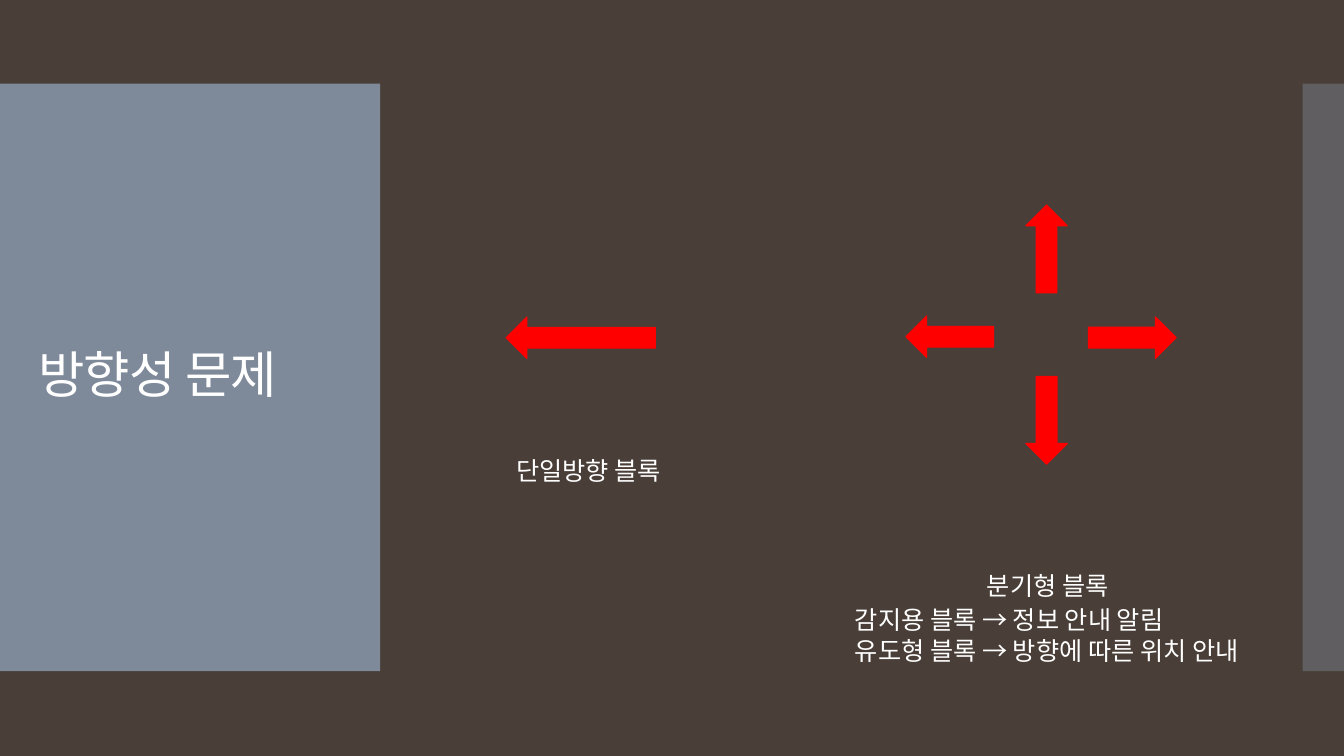
from lxml import etree
from pptx import Presentation
from pptx import util as u
from pptx.dml.color import RGBColor
from pptx.enum import shapes, text
from pptx.oxml.ns import qn

FONT = "Calibri"
BACKGROUND, PANEL, ARROW, WHITE = "4A3F38", "818E9F", "FF0000", "FFFFFF"
PANEL_TOP, PANEL_HEIGHT = 0.83, 5.83
ARROW_HEIGHT = 0.41


def paint(fill, color, opacity=100):
    fill.solid()
    fill.fore_color.rgb = RGBColor.from_string(color)
    if opacity < 100:
        tone = fill._xPr.find(qn("a:solidFill"))[0]
        etree.SubElement(tone, qn("a:alpha"), val=str(opacity * 1000))


def format_text(para, size):
    para.alignment = text.PP_ALIGN.LEFT
    for span in para.runs:
        span.font.name = FONT
        span.font.size = u.Pt(size)
        paint(span.font.fill, WHITE)


def add_panel(page, left, width, opacity):
    panel = page.shapes.add_shape(
        shapes.MSO_SHAPE.RECTANGLE, u.Inches(left), u.Inches(PANEL_TOP),
        u.Inches(width), u.Inches(PANEL_HEIGHT))
    panel.shadow.inherit = False
    paint(panel.fill, PANEL, opacity)
    panel.line.fill.background()


def place_title(page, wording, left, top, width, height):
    title = page.shapes.title
    title.left, title.top = u.Inches(left), u.Inches(top)
    title.width, title.height = u.Inches(width), u.Inches(height)
    frame = title.text_frame
    frame.text = wording
    frame.word_wrap = True
    frame.auto_size = text.MSO_AUTO_SIZE.NONE
    frame.vertical_anchor = text.MSO_ANCHOR.MIDDLE
    para = frame.paragraphs[0]
    para.line_spacing = 0.9
    format_text(para, 36)
    para.runs[0].font._element.set("spc", "-60")
    # Bring the title in front of the panels.
    title.element.getparent().append(title.element)


def add_label(page, wording, left, top, width, height):
    box = page.shapes.add_textbox(
        u.Inches(left), u.Inches(top), u.Inches(width), u.Inches(height))
    frame = box.text_frame
    frame.word_wrap = True
    frame.auto_size = text.MSO_AUTO_SIZE.SHAPE_TO_FIT_TEXT
    para = frame.paragraphs[0]
    para.text = wording
    format_text(para, 18)


def add_arrow(page, center_x, center_y, length, rotation):
    arrow = page.shapes.add_shape(
        shapes.MSO_SHAPE.RIGHT_ARROW,
        u.Inches(center_x - length / 2), u.Inches(center_y - ARROW_HEIGHT / 2),
        u.Inches(length), u.Inches(ARROW_HEIGHT))
    arrow.rotation = rotation
    arrow.shadow.inherit = False
    paint(arrow.fill, ARROW)
    paint(arrow.line.fill, ARROW)
    arrow.line.width = u.Pt(0.85)


def add_single_block(page, left, top):
    add_arrow(page, left + 0.74, top + 0.2, 1.48, 180)
    add_label(page, "단일방향 블록", left, top + 1.32, 1.94, 0.4)


def add_branch_block(page, left, top):
    arms = [(2.0, 0.2, 270), (2.85, 1.08, 0), (1.04, 1.07, 180), (2.0, 1.9, 90)]
    for x, y, rotation in arms:
        add_arrow(page, left + x, top + y, 0.87, rotation)
    add_label(page, "분기형 블록", left + 1.31, top + 3.34, 1.72, 0.4)
    add_label(page, "감지용 블록 → 정보 안내 알림\n유도형 블록 → 방향에 따른 위치 안내",
              left, top + 3.68, 4.42, 0.71)


def main():
    deck = Presentation()
    deck.slide_width, deck.slide_height = u.Inches(13.33), u.Inches(7.5)
    page = deck.slides.add_slide(deck.slide_layouts[5])
    paint(page.background.fill, BACKGROUND)
    add_panel(page, 0, 3.77, 95)
    add_panel(page, 12.92, 0.41, 40)
    place_title(page, "방향성 문제", 0.28, 1.23, 3.22, 5.03)
    add_single_block(page, 5.02, 3.15)
    add_branch_block(page, 8.38, 2.27)
    deck.save("out.pptx")


if __name__ == "__main__":
    main()
